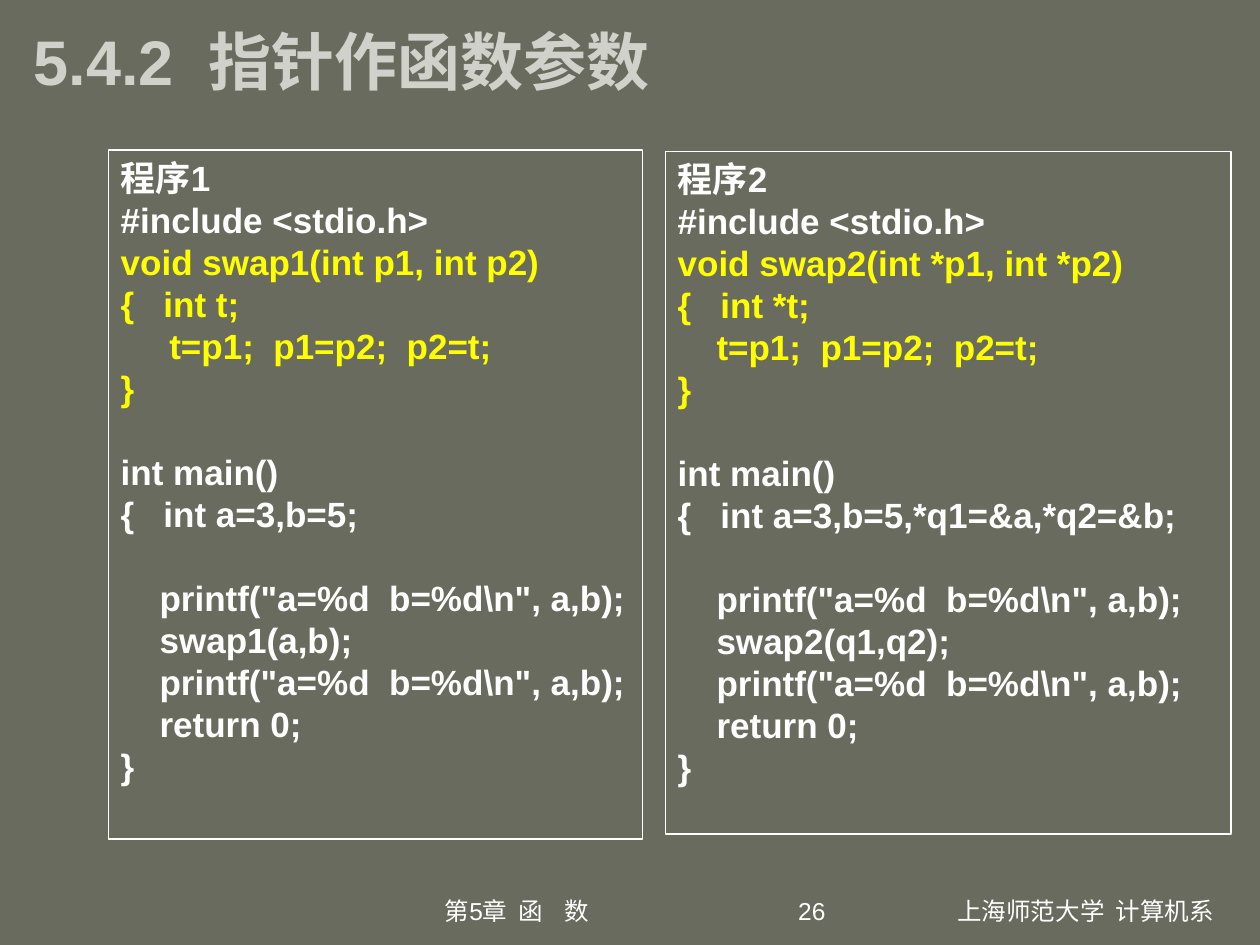
from dataclasses import dataclass

from pptx import Presentation
from pptx.dml.color import RGBColor
from pptx.enum.shapes import MSO_SHAPE as Shape
from pptx.enum.text import MSO_ANCHOR as Anchor, PP_ALIGN as Align
from pptx.util import Inches, Pt

BACKGROUND = RGBColor(0x68, 0x6B, 0x5D)
TITLE_GREY = RGBColor(0xD1, 0xD1, 0xCB)
WHITE = RGBColor(0xFF, 0xFF, 0xFF)
YELLOW = RGBColor(0xFF, 0xFF, 0x00)
LINE_HEIGHT = Pt(24)


@dataclass
class Label:
    text: str
    left: float
    top: float
    width: float
    height: float
    align: Align = Align.LEFT
    anchor: Anchor = Anchor.TOP
    size: int = 14
    color: RGBColor = WHITE
    bold: bool = False


@dataclass
class Program:
    """A listing in three parts; the swap function is highlighted."""
    left: float
    top: float
    width: float
    height: float
    heading: str
    swap_function: str
    main_start: str
    swap_call: str

    def lines(self) -> list[tuple[str, RGBColor, bool]]:
        """Return each line with its colour and whether a gap precedes it."""
        output = r'    printf("a=%d  b=%d\n", a,b);'
        head = [self.heading, "#include <stdio.h>"]
        swap = self.swap_function.split("\n")
        main = ["int main()", self.main_start]
        body = [output, f"    {self.swap_call}", output, "    return 0;", "}"]
        parts = ((head, WHITE, False), (swap, YELLOW, False),
                 (main, WHITE, True), (body, WHITE, True))
        return [(text, color, gap and index == 0)
                for part, color, gap in parts
                for index, text in enumerate(part)]


LABELS = [
    Label("5.4.2  指针作函数参数", 0.17, 0, 9, 0.95, anchor=Anchor.MIDDLE,
          size=36, color=TITLE_GREY, bold=True),
    Label("第5章  函    数", 2.75, 7.06, 2.71, 0.35, Align.CENTER),
    Label("26", 5.57, 7.06, 1.08, 0.35, Align.RIGHT),
    Label("上海师范大学  计算机系", 7.5, 7.06, 2.33, 0.35),
]

PROGRAMS = [
    Program(0.86, 1.19, 4.24, 5.47, "程序1",
            "void swap1(int p1, int p2)\n{   int t;\n"
            "     t=p1;  p1=p2;  p2=t;\n}",
            "{   int a=3,b=5;", "swap1(a,b);"),
    Program(5.28, 1.2, 4.49, 5.42, "程序2",
            "void swap2(int *p1, int *p2)\n{   int *t;\n"
            "    t=p1;  p1=p2;  p2=t;\n}",
            "{   int a=3,b=5,*q1=&a,*q2=&b;", "swap2(q1,q2);"),
]


def set_format(target, values: dict) -> None:
    for name, value in values.items():
        setattr(target, name, value)


def write(paragraph, text: str, size: int, color: RGBColor, bold: bool) -> None:
    run = paragraph.add_run()
    run.text = text
    set_format(run.font, {"name": "Arial", "size": Pt(size), "bold": bold})
    run.font.color.rgb = color


def box_of(item: Label | Program) -> list[Inches]:
    return [Inches(value)
            for value in (item.left, item.top, item.width, item.height)]


def draw_label(slide, label: Label) -> None:
    frame = slide.shapes.add_textbox(*box_of(label)).text_frame
    set_format(frame, {"word_wrap": True, "vertical_anchor": label.anchor})
    paragraph = frame.paragraphs[0]
    paragraph.alignment = label.align
    write(paragraph, label.text, label.size, label.color, label.bold)


def draw_program(slide, program: Program) -> None:
    shape = slide.shapes.add_shape(Shape.RECTANGLE, *box_of(program))
    shape.shadow.inherit = False
    shape.fill.background()
    shape.line.color.rgb = WHITE
    shape.line.width = Pt(0.75)
    frame = shape.text_frame
    set_format(frame, {"word_wrap": True, "vertical_anchor": Anchor.TOP})
    for index, (text, color, gap) in enumerate(program.lines()):
        paragraph = frame.add_paragraph() if index else frame.paragraphs[0]
        set_format(paragraph, {"alignment": Align.JUSTIFY,
                               "line_spacing": LINE_HEIGHT})
        if gap:
            paragraph.space_before = LINE_HEIGHT
        write(paragraph, text, 20, color, True)


def main() -> None:
    presentation = Presentation()
    set_format(presentation, {"slide_width": Inches(10),
                              "slide_height": Inches(7.5)})
    slide = presentation.slides.add_slide(presentation.slide_layouts[6])
    slide.background.fill.solid()
    slide.background.fill.fore_color.rgb = BACKGROUND
    for label in LABELS:
        draw_label(slide, label)
    for program in PROGRAMS:
        draw_program(slide, program)
    presentation.save("out.pptx")


if __name__ == "__main__":
    main()
